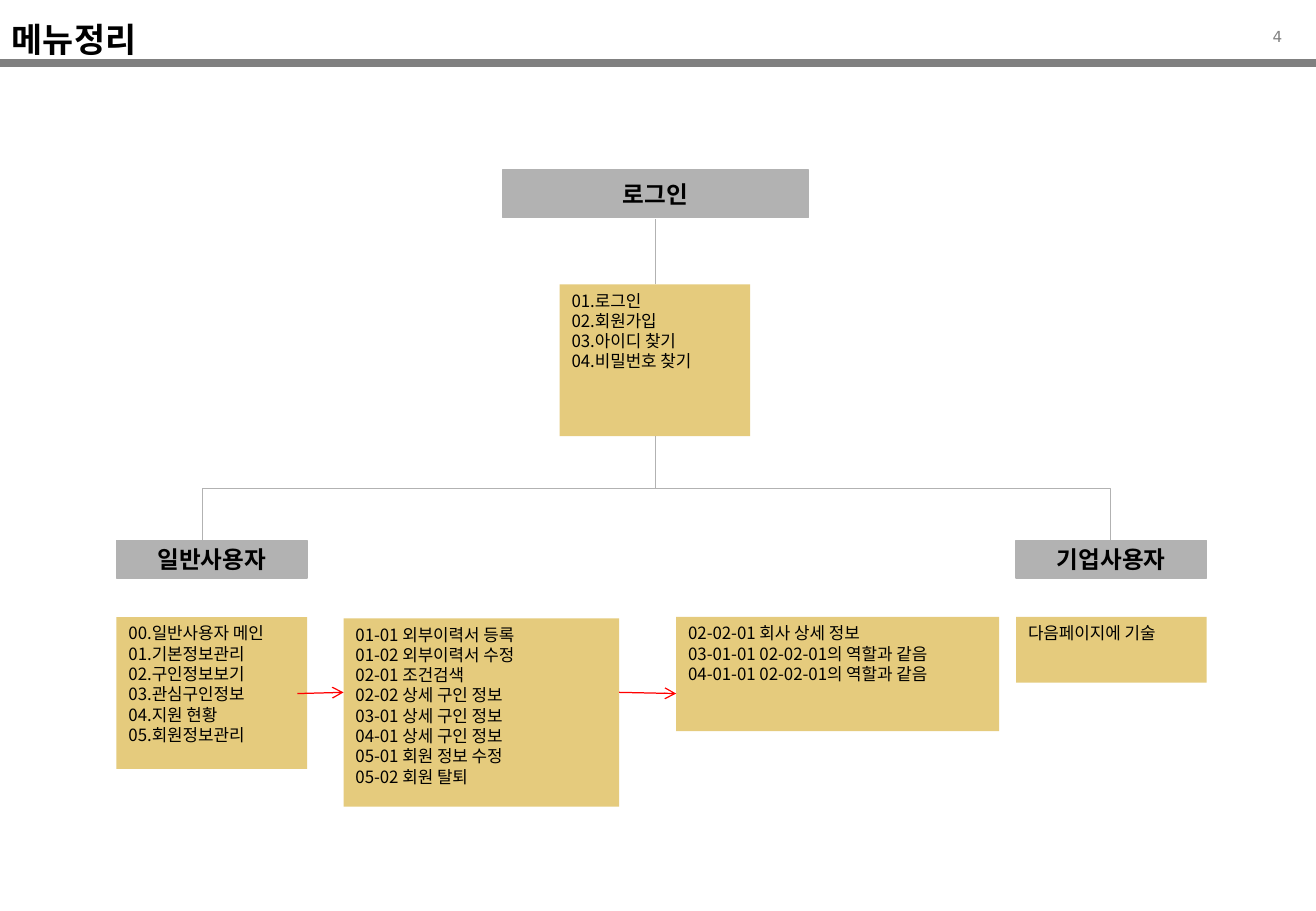
from lxml import etree
from pptx import Presentation, util as u
from pptx.dml.color import RGBColor
from pptx.enum import shapes, text
from pptx.oxml import ns

KR = "Noto Sans CJK KR"
GREY, RULE, RED, GOLD = "B2B2B2", "808080", "FF0000", "CC9900"
ANCHOR, ALIGN = text.MSO_ANCHOR, text.PP_ALIGN


def rgb(code):
    return RGBColor.from_string(code)


def sub(parent, tag, **attrs):
    return etree.SubElement(parent, ns.qn(tag), **attrs)


def write(shape, lines, size, bold=False, color="000000", face=KR,
          align=ALIGN.LEFT, anchor=ANCHOR.TOP, wrap=True, space=None):
    """Put one paragraph per line into a shape."""
    frame = shape.text_frame
    frame.word_wrap = wrap
    frame.vertical_anchor = anchor
    frame.margin_left = frame.margin_right = u.Inches(0.1)
    frame.margin_top = frame.margin_bottom = u.Inches(0.05)
    for i, line in enumerate(lines):
        para = frame.add_paragraph() if i else frame.paragraphs[0]
        para.alignment = align
        para.line_spacing = space
        run = para.add_run()
        run.text = line
        font = run.font
        font.size, font.bold, font.name = u.Pt(size), bold, face
        font.color.rgb = rgb(color)
        sub(run._r.get_or_add_rPr(), "a:ea", typeface=face)


def label(slide, box, line, size, **style):
    shape = slide.shapes.add_textbox(*map(u.Inches, box))
    write(shape, [line], size, **style)


def block(slide, box, color):
    shape = slide.shapes.add_shape(
        shapes.MSO_SHAPE.RECTANGLE, *map(u.Inches, box))
    shape.shadow.inherit = False
    shape.fill.solid()
    shape.fill.fore_color.rgb = rgb(color)
    return shape


def header(slide, box, line):
    """Grey box with a bold centred name."""
    shape = block(slide, box, GREY)
    shape.line.color.rgb = rgb(GREY)
    shape.line.width = u.Pt(0.75)
    write(shape, [line], 14, bold=True, align=ALIGN.CENTER,
          anchor=ANCHOR.MIDDLE, wrap=False)


def menu(slide, box, lines):
    """Translucent gold box with a list of screens."""
    shape = block(slide, box, GOLD)
    shape.line.fill.background()
    tint = shape.fill._xPr.find(".//" + ns.qn("a:srgbClr"))
    sub(tint, "a:alpha", val="51000")
    write(shape, lines, 10)


def link(slide, start, end, color, width=0.75, kind="STRAIGHT", arrow=False):
    line = slide.shapes.add_connector(
        getattr(shapes.MSO_CONNECTOR, kind), *map(u.Inches, start + end))
    line.line.color.rgb = rgb(color)
    line.line.width = u.Pt(width)
    if arrow:
        sub(line.line._get_or_add_ln(), "a:tailEnd", type="arrow")
    sub(line._element.spPr, "a:effectLst")
    return line


def branch(slide, start, end):
    """Elbow that leaves and arrives vertically, by a quarter turn."""
    (x1, y1), (x2, y2) = start, end
    mid_x, mid_y = (x1 + x2) / 2, (y1 + y2) / 2
    half_w, half_h = (y1 - y2) / 2, abs(x2 - x1) / 2
    side = 1 if x1 <= x2 else -1
    line = link(slide, (mid_x + side * half_w, mid_y + half_h),
                (mid_x - side * half_w, mid_y - half_h), GREY, kind="ELBOW")
    turn = 90 if side == 1 else 270
    line._element.spPr.find(ns.qn("a:xfrm")).set("rot", str(turn * 60000))


def main():
    deck = Presentation()
    deck.slide_width, deck.slide_height = u.Inches(10.84), u.Inches(7.5)
    slide = deck.slides.add_slide(deck.slide_layouts[6])

    # Title bar
    label(slide, (10.14, 0.13, 0.52, 0.3), "4", 9, color=RULE,
          face="DejaVu Sans", align=ALIGN.RIGHT, space=1.3)
    link(slide, (0, 0.52), (10.84, 0.52), RULE, 4.5)
    label(slide, (0, 0.21, 2.91, 0.22), "메뉴정리", 20, bold=True,
          anchor=ANCHOR.MIDDLE)

    # Tree lines
    for start, end in [((1.67, 4.45), (5.4, 3.59)),
                       ((9.15, 4.45), (5.4, 3.59)),
                       ((5.4, 2.34), (5.4, 1.8))]:
        branch(slide, start, end)

    # Headers
    header(slide, (4.14, 1.4, 2.52, 0.39), "로그인")
    for left, name in [(0.96, "일반사용자"), (8.37, "기업사용자")]:
        header(slide, (left, 4.45, 1.57, 0.31), name)

    # Menus
    menu(slide, (4.61, 2.34, 1.57, 1.25),
         ["01.로그인", "02.회원가입", "03.아이디 찾기", "04.비밀번호 찾기"])
    menu(slide, (0.96, 5.08, 1.57, 1.25),
         ["00.일반사용자 메인", "01.기본정보관리", "02.구인정보보기",
          "03.관심구인정보", "04.지원 현황", "05.회원정보관리"])
    menu(slide, (2.83, 5.09, 2.27, 1.55),
         ["01-01 외부이력서 등록", "01-02 외부이력서 수정",
          "02-01 조건검색", "02-02 상세 구인 정보",
          "03-01 상세 구인 정보", "04-01 상세 구인 정보",
          "05-01 회원 정보 수정", "05-02 회원 탈퇴"])
    menu(slide, (5.57, 5.08, 2.66, 0.94),
         ["02-02-01 회사 상세 정보", "03-01-01 02-02-01의 역할과 같음",
          "04-01-01 02-02-01의 역할과 같음"])
    menu(slide, (8.37, 5.08, 1.57, 0.54), ["다음페이지에 기술"])

    # Flow arrows
    link(slide, (2.45, 5.71), (2.83, 5.7), RED, arrow=True)
    link(slide, (5.1, 5.7), (5.57, 5.71), RED, arrow=True)

    deck.save("out.pptx")


if __name__ == "__main__":
    main()
